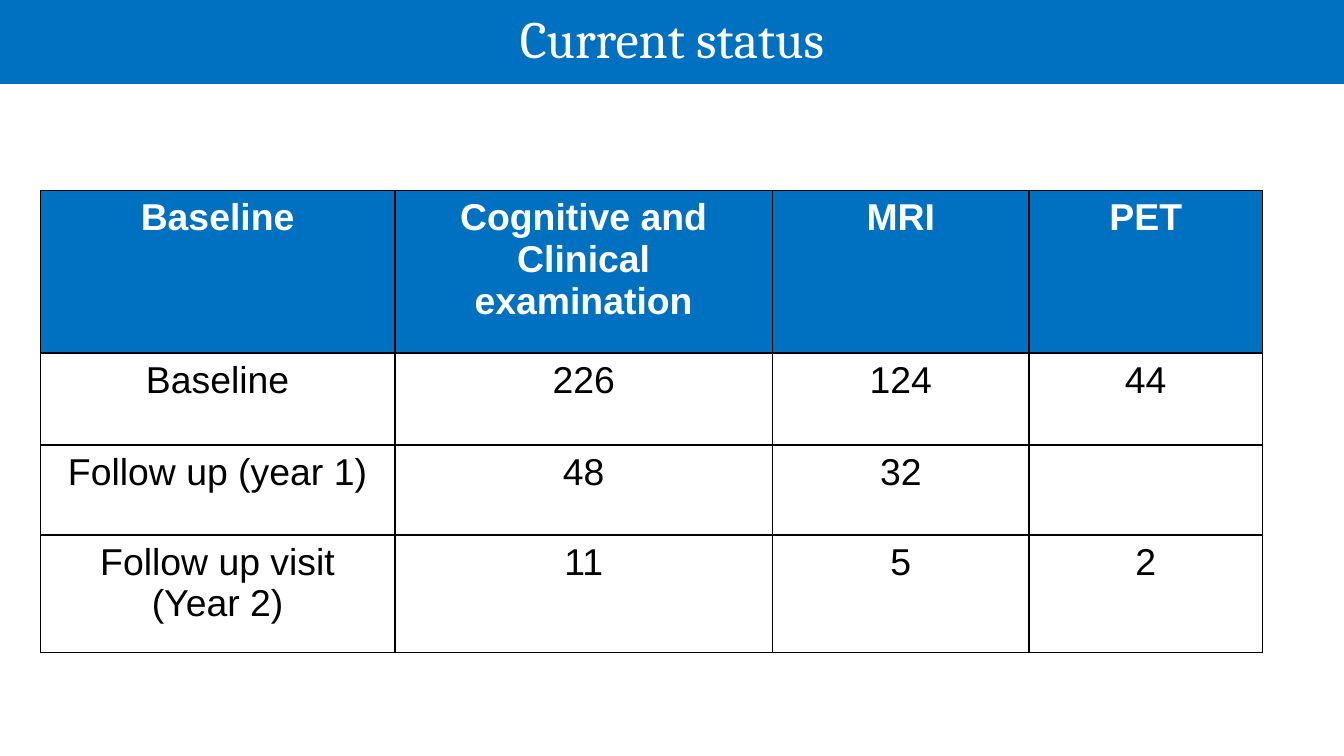
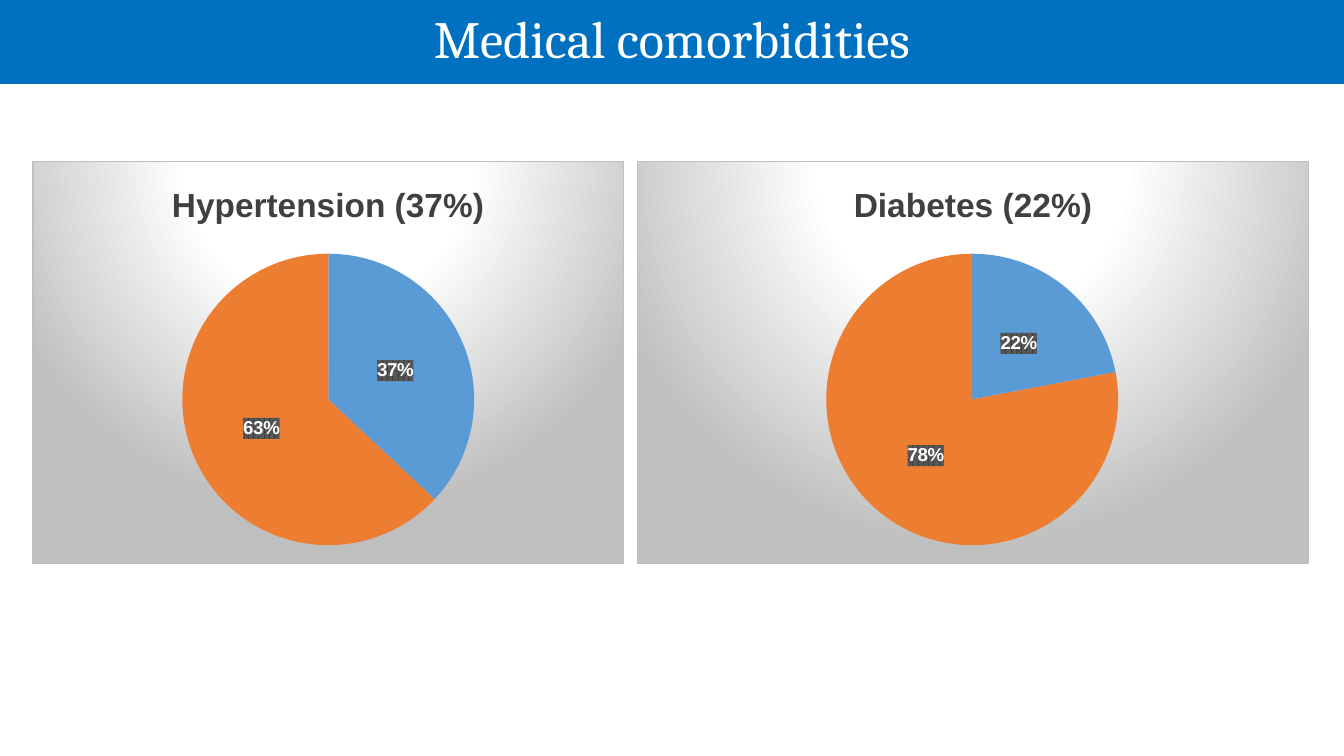
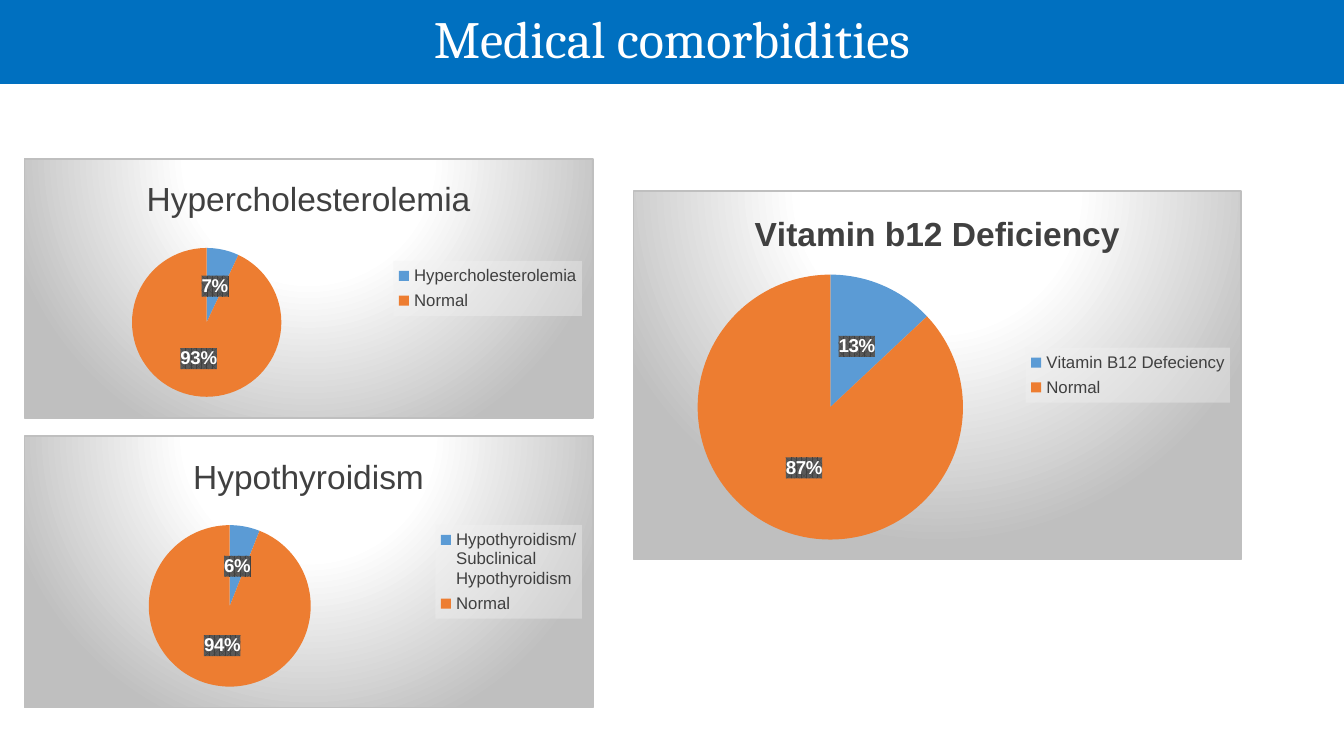
from pptx import Presentation
from pptx.chart.data import CategoryChartData
from pptx.dml.color import RGBColor
from pptx.enum.chart import XL_CHART_TYPE, XL_LABEL_POSITION, XL_LEGEND_POSITION
from pptx.enum.shapes import MSO_SHAPE
from pptx.enum.text import MSO_ANCHOR, PP_ALIGN
from pptx.oxml import parse_xml
from pptx.util import Pt

PX = 9525
RECT = MSO_SHAPE.RECTANGLE
PIE = XL_CHART_TYPE.PIE
MID = XL_LABEL_POSITION.CENTER
RIGHT = XL_LEGEND_POSITION.RIGHT
CENTER = PP_ALIGN.CENTER
MIDDLE = MSO_ANCHOR.MIDDLE

BLUE, WHITE, BLACK, GREY = "0070C0", "FFFFFF", "000000", "404040"
SLICES = ["5B9BD5", "ED7D31"]

NS = ('xmlns:a="http://schemas.openxmlformats.org/drawingml/2006/main" '
      'xmlns:c="http://schemas.openxmlformats.org/drawingml/2006/chart"')
PANEL = f"""<c:spPr {NS}><a:gradFill><a:gsLst>
<a:gs pos="0"><a:srgbClr val="FFFFFF"/></a:gs>
<a:gs pos="39000"><a:srgbClr val="FFFFFF"/></a:gs>
<a:gs pos="100000"><a:srgbClr val="BFBFBF"/></a:gs></a:gsLst>
<a:path path="circle"><a:fillToRect l="50000" t="-80000" r="50000" b="180000"/></a:path>
</a:gradFill><a:ln w="9525"><a:solidFill><a:srgbClr val="BFBFBF"/></a:solidFill></a:ln></c:spPr>"""
HATCH = f"""<c:spPr {NS}><a:pattFill prst="pct75"><a:fgClr><a:srgbClr val="404040"/></a:fgClr>
<a:bgClr><a:srgbClr val="595959"/></a:bgClr></a:pattFill></c:spPr>"""
VEIL = f"""<c:spPr {NS}><a:solidFill><a:srgbClr val="F2F2F2"><a:alpha val="39000"/></a:srgbClr>
</a:solidFill></c:spPr>"""


def rgb(code):
    return RGBColor.from_string(code)


def style(font, size, color, bold=False, name="Arial"):
    font.name, font.size, font.bold = name, Pt(size), bold
    font.color.rgb = rgb(color)


prs = Presentation()
prs.slide_width, prs.slide_height = 960 * PX, 540 * PX

# Slides with their title bands
slides = []
for title in ["Current status", "Medical comorbidities", "Medical comorbidities"]:
    slide = prs.slides.add_slide(prs.slide_layouts[6])
    band = slide.shapes.add_shape(RECT, 0, 0, 960 * PX, 60 * PX)
    band.shadow.inherit = False
    band.fill.solid()
    band.fill.fore_color.rgb = rgb(BLUE)
    band.line.fill.background()
    frame = band.text_frame
    frame.text = title
    frame.vertical_anchor = MIDDLE
    para = frame.paragraphs[0]
    para.alignment, para.line_spacing = CENTER, 0.9
    style(para.runs[0].font, 28, WHITE, name="Cambria")
    slides.append(slide)

# Visits by examination
ROWS = [
    ["Baseline", "Cognitive and Clinical examination", "MRI", "PET"],
    ["Baseline", "226", "124", "44"],
    ["Follow up (year 1)", "48", "32", ""],
    ["Follow up visit\n(Year 2)", "11", "5", "2"],
]
WIDTHS, HEIGHTS = [253, 270, 183, 167], [116, 66, 64, 84]
table = slides[0].shapes.add_table(
    4, 4, 29 * PX, 136 * PX, sum(WIDTHS) * PX, sum(HEIGHTS) * PX).table
table.horz_banding = False
for col, width in zip(table.columns, WIDTHS):
    col.width = width * PX
for r, words in enumerate(ROWS):
    head = r == 0
    table.rows[r].height = HEIGHTS[r] * PX
    for c, word in enumerate(words):
        cell = table.cell(r, c)
        cell.text = word
        for para in cell.text_frame.paragraphs:
            para.alignment = CENTER
            style(para.font, 20, WHITE if head else BLACK, head)
            for run in para.runs:
                style(run.font, 20, WHITE if head else BLACK, head)
        if head:
            cell.fill.solid()
            cell.fill.fore_color.rgb = rgb(BLUE)
        else:
            cell.fill.background()
        props = cell._tc.get_or_add_tcPr()
        for i, side in enumerate("LRTB"):
            props.insert(i, parse_xml(
                f'<a:ln{side} {NS} w="12700"><a:solidFill><a:srgbClr val="{BLACK}"/>'
                f'</a:solidFill></a:ln{side}>'))

# Pies: slide, title, bold, share, legend name, panel box, pie left, top and size
PIES = [
    (1, "Hypertension (37%)", True, 37, None, (23, 115, 423, 288), (107, 66, 209)),
    (1, "Diabetes (22%)", True, 22, None, (455, 115, 480, 288), (135, 66, 209)),
    (2, "Hypercholesterolemia", False, 7, "Hypercholesterolemia",
     (17, 113, 407, 186), (77, 64, 107)),
    (2, "Hypothyroidism", False, 6, "Hypothyroidism/ Subclinical Hypothyroidism",
     (17, 311, 407, 195), (89, 64, 116)),
    (2, "Vitamin b12 Deficiency", True, 13, "Vitamin B12 Defeciency",
     (452, 136, 435, 264), (46, 60, 190)),
]
for page, title, bold, share, name, box, (left, top, size) in PIES:
    data = CategoryChartData()
    data.categories = [name, "Normal"] if name else ["1", "2"]
    data.add_series("Series 1", [share, 100 - share])
    chart = slides[page].shapes.add_chart(PIE, *[n * PX for n in box], data).chart
    style(chart.font, 10, BLACK)
    root = chart.element
    root.xpath("c:txPr")[0].addprevious(parse_xml(PANEL))

    chart.has_title = True
    frame = chart.chart_title.text_frame
    frame.text = title
    style(frame.paragraphs[0].runs[0].font, 18, GREY, bold)

    chart.has_legend = bool(name)
    if name:
        legend = chart.legend
        legend.position, legend.include_in_layout = RIGHT, False
        style(legend.font, 9, GREY)
        root.xpath(".//c:legend/c:txPr")[0].addprevious(parse_xml(VEIL))

    plot = chart.plots[0]
    plot.vary_by_categories = True
    series = plot.series[0]
    for i, color in enumerate(SLICES):
        shape = series.points[i].format
        shape.fill.solid()
        shape.fill.fore_color.rgb = rgb(color)
        shape.line.fill.background()
    labels = series.data_labels
    labels.show_value, labels.show_percentage = False, True
    labels.number_format, labels.number_format_is_linked = "0%", False
    labels.position = MID
    style(labels.font, 10, WHITE, True)
    root.xpath(".//c:ser/c:dLbls/c:txPr")[0].addprevious(parse_xml(HATCH))

    wide, high = box[2:]
    spots = {"x": left / wide, "y": top / high, "w": size / wide, "h": size / high}
    parts = "".join(f'<c:{key}Mode val="edge"/>' for key in "xy")
    parts += "".join(f'<c:{key} val="{spot:.4f}"/>' for key, spot in spots.items())
    root.xpath(".//c:plotArea")[0].insert(0, parse_xml(
        f'<c:layout {NS}><c:manualLayout><c:layoutTarget val="inner"/>{parts}'
        '</c:manualLayout></c:layout>'))

prs.save("out.pptx")
